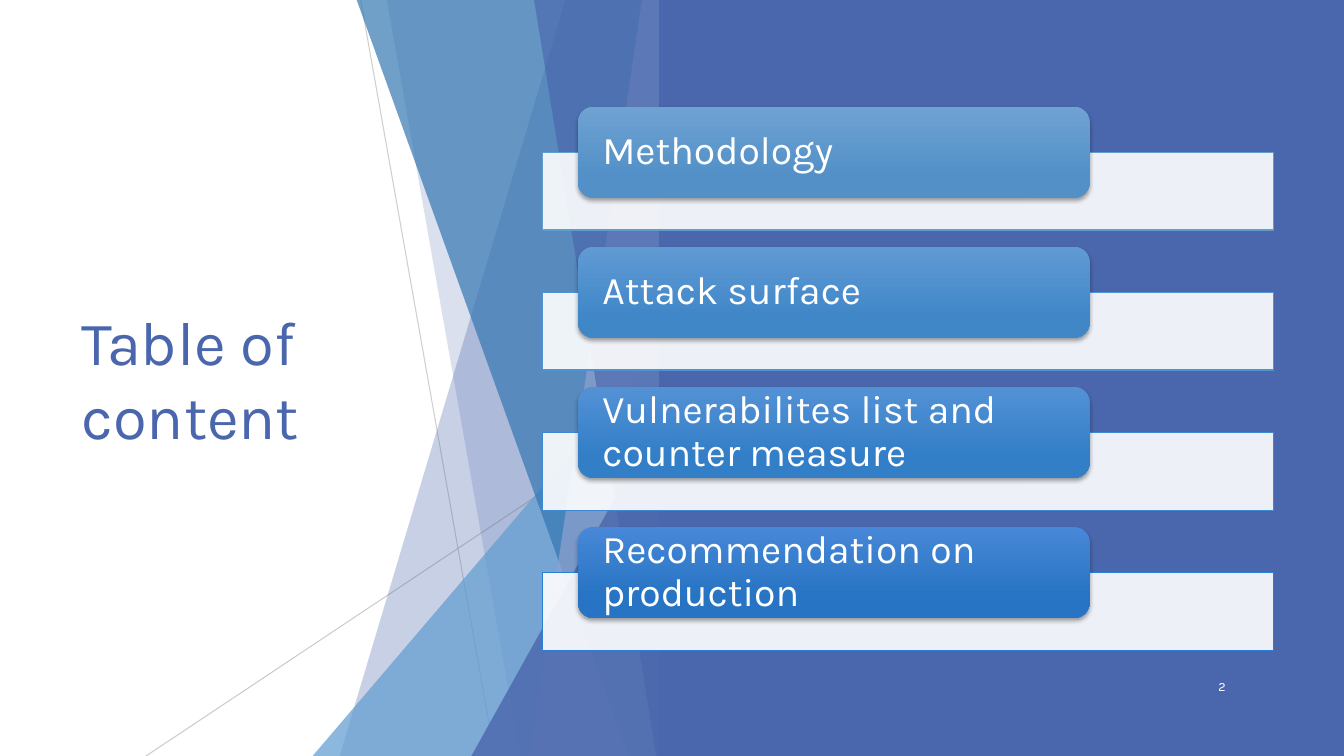
"""Build the table of content slide with its faceted divider and topic cards."""
from dataclasses import dataclass

from lxml import etree
from pptx import Presentation
from pptx import util as u
from pptx.dml.color import RGBColor
from pptx.enum import shapes, text
from pptx.oxml.ns import qn


@dataclass(frozen=True)
class Theme:
    font: str = "Karla"
    title_size: int = 44
    card_size: int = 28
    number_size: int = 9
    primary: str = "4A66AC"
    sky: str = "629DD1"
    steel: str = "3477B2"
    lavender: str = "90A2CF"
    hairline: str = "BFBFBF"
    white: str = "FFFFFF"
    shadow: str = "000000"


@dataclass(frozen=True)
class Box:
    left: float
    top: float
    width: float
    height: float

    def lengths(self) -> tuple:
        return u.Cm(self.left), u.Cm(self.top), u.Cm(self.width), u.Cm(self.height)


@dataclass(frozen=True)
class Hairline:
    start: tuple[float, float]
    end: tuple[float, float]
    opacity: int


@dataclass(frozen=True)
class Facet:
    top_x: float
    bottom_x: float
    color: str
    opacity: int


@dataclass(frozen=True)
class Wedge:
    box: Box
    color: str
    opacity: int


@dataclass(frozen=True)
class Topic:
    label: str
    border: str
    gradient: tuple[str, str]


THEME = Theme()
SLIDE_WIDTH, SLIDE_HEIGHT = 33.87, 19.05
FACET_RIGHT = 16.92
TOPIC_PITCH = 3.53

HAIRLINES = (
    Hairline((9.09, 0), (12.47, SLIDE_HEIGHT), 75),
    Hairline((FACET_RIGHT, 10.24), (3.68, SLIDE_HEIGHT), 80),
)
FACETS = (
    Facet(14.25, 8.56, THEME.primary, 30),
    Facet(9.75, 13.11, THEME.primary, 20),
    Wedge(Box(7.88, 8.46, 9.04, 10.59), THEME.sky, 72),
    Facet(8.99, 15.85, THEME.steel, 70),
    Facet(16.18, 13.34, THEME.lavender, 70),
    Facet(13.46, 16.54, THEME.primary, 65),
    Wedge(Box(11.88, 9.98, 5.05, 9.07), THEME.primary, 80),
)
TOPICS = (
    Topic("Methodology", "629DD1", ("6FA2D3", "5290C7")),
    Topic("Attack surface", "5093D2", ("609AD4", "4087C8")),
    Topic("Vulnerabilites list and counter measure", "3C89D3", ("5391D5", "327EC7")),
    Topic("Recommendation on production", "297FD5", ("4887D7", "2674C3")),
)


def set_opacity(shape, percent: int) -> None:
    """Give the first colour of a shape the stated opacity."""
    color = shape.element.spPr.find(f".//{qn('a:srgbClr')}")
    etree.SubElement(color, qn("a:alpha"), val=str(percent * 1000))


def fill_plain(shape, color: str, opacity: int = 100) -> None:
    """Fill a shape with one colour, without outline or shadow."""
    shape.shadow.inherit = False
    shape.fill.solid()
    shape.fill.fore_color.rgb = RGBColor.from_string(color)
    shape.line.fill.background()
    if opacity < 100:
        set_opacity(shape, opacity)


def write_text(shape, content: str, size: int, color: str, align=text.PP_ALIGN.LEFT):
    """Write one paragraph, centred vertically, and return it."""
    frame = shape.text_frame
    frame.word_wrap = True
    frame.auto_size = text.MSO_AUTO_SIZE.NONE
    frame.vertical_anchor = text.MSO_ANCHOR.MIDDLE
    paragraph = frame.paragraphs[0]
    paragraph.text = content
    paragraph.alignment = align
    paragraph.font.name = THEME.font
    paragraph.font.size = u.Pt(size)
    paragraph.font.color.rgb = RGBColor.from_string(color)
    return paragraph


def add_title(slide, content: str, box: Box) -> None:
    """Place and format the title placeholder."""
    title = slide.shapes.title
    title.left, title.top, title.width, title.height = box.lengths()
    write_text(title, content, THEME.title_size, THEME.primary)


def add_hairline(slide, hairline: Hairline) -> None:
    """Draw a thin translucent line."""
    connector = slide.shapes.add_connector(
        shapes.MSO_CONNECTOR.STRAIGHT,
        *(u.Cm(value) for value in hairline.start + hairline.end),
    )
    connector.line.color.rgb = RGBColor.from_string(THEME.hairline)
    connector.line.width = u.Pt(0.75)
    set_opacity(connector, hairline.opacity)
    etree.SubElement(connector.element.spPr, qn("a:effectLst"))


def add_facet(slide, facet: Facet | Wedge) -> None:
    """Draw a translucent facet that ends at the shared right edge."""
    if isinstance(facet, Wedge):
        shape = slide.shapes.add_shape(
            shapes.MSO_SHAPE.ISOSCELES_TRIANGLE, *facet.box.lengths()
        )
        shape.adjustments[0] = 1
    else:
        builder = slide.shapes.build_freeform(u.Cm(facet.top_x), 0)
        corners = ((FACET_RIGHT, 0), (FACET_RIGHT, SLIDE_HEIGHT), (facet.bottom_x, SLIDE_HEIGHT))
        builder.add_line_segments([(u.Cm(x), u.Cm(y)) for x, y in corners])
        shape = builder.convert_to_shape()
    fill_plain(shape, facet.color, facet.opacity)


def add_soft_shadow(shape) -> None:
    """Put a short downward shadow under a shape."""
    shape.shadow.inherit = False
    effects = shape.element.spPr.find(qn("a:effectLst"))
    shadow = etree.SubElement(
        effects, qn("a:outerShdw"), blurRad=str(u.Pt(3)), dist=str(u.Pt(2)),
        dir="5400000", rotWithShape="0",
    )
    color = etree.SubElement(shadow, qn("a:srgbClr"), val=THEME.shadow)
    etree.SubElement(color, qn("a:alpha"), val="35000")


def add_topic(slide, topic: Topic, offset: float) -> None:
    """Draw a pale panel with its labelled gradient card."""
    panel = slide.shapes.add_shape(
        shapes.MSO_SHAPE.RECTANGLE, *Box(13.67, 3.84 + offset, 18.42, 1.96).lengths()
    )
    fill_plain(panel, THEME.white, 90)
    panel.line.color.rgb = RGBColor.from_string(topic.border)
    panel.line.width = u.Pt(1)

    card = slide.shapes.add_shape(
        shapes.MSO_SHAPE.ROUNDED_RECTANGLE, *Box(14.57, 2.69 + offset, 12.89, 2.29).lengths()
    )
    card.fill.gradient()
    card.fill.gradient_angle = 270
    for stop, color, position in zip(card.fill.gradient_stops, topic.gradient, (0, 0.78)):
        stop.color.rgb = RGBColor.from_string(color)
        stop.position = position
    card.line.fill.background()
    add_soft_shadow(card)
    frame = card.text_frame
    frame.margin_left = frame.margin_right = u.Cm(0.5)
    frame.margin_top = frame.margin_bottom = 0
    write_text(card, topic.label, THEME.card_size, THEME.white).line_spacing = 0.9


def main() -> None:
    """Assemble and save the presentation."""
    presentation = Presentation()
    presentation.slide_width, presentation.slide_height = u.Cm(SLIDE_WIDTH), u.Cm(SLIDE_HEIGHT)
    slide = presentation.slides.add_slide(presentation.slide_layouts[5])
    add_title(slide, "Table of content", Box(1.8, 3.84, 9.86, 11.38))
    for hairline in HAIRLINES:
        add_hairline(slide, hairline)
    for facet in FACETS:
        add_facet(slide, facet)
    backdrop = slide.shapes.add_shape(
        shapes.MSO_SHAPE.RECTANGLE, *Box(16.61, 0, 17.26, SLIDE_HEIGHT).lengths()
    )
    fill_plain(backdrop, THEME.primary)
    number = slide.shapes.add_textbox(*Box(29.24, 16.79, 1.9, 1.02).lengths())
    write_text(number, "2", THEME.number_size, THEME.white, text.PP_ALIGN.RIGHT)
    for index, topic in enumerate(TOPICS):
        add_topic(slide, topic, index * TOPIC_PITCH)
    presentation.save("out.pptx")


if __name__ == "__main__":
    main()
